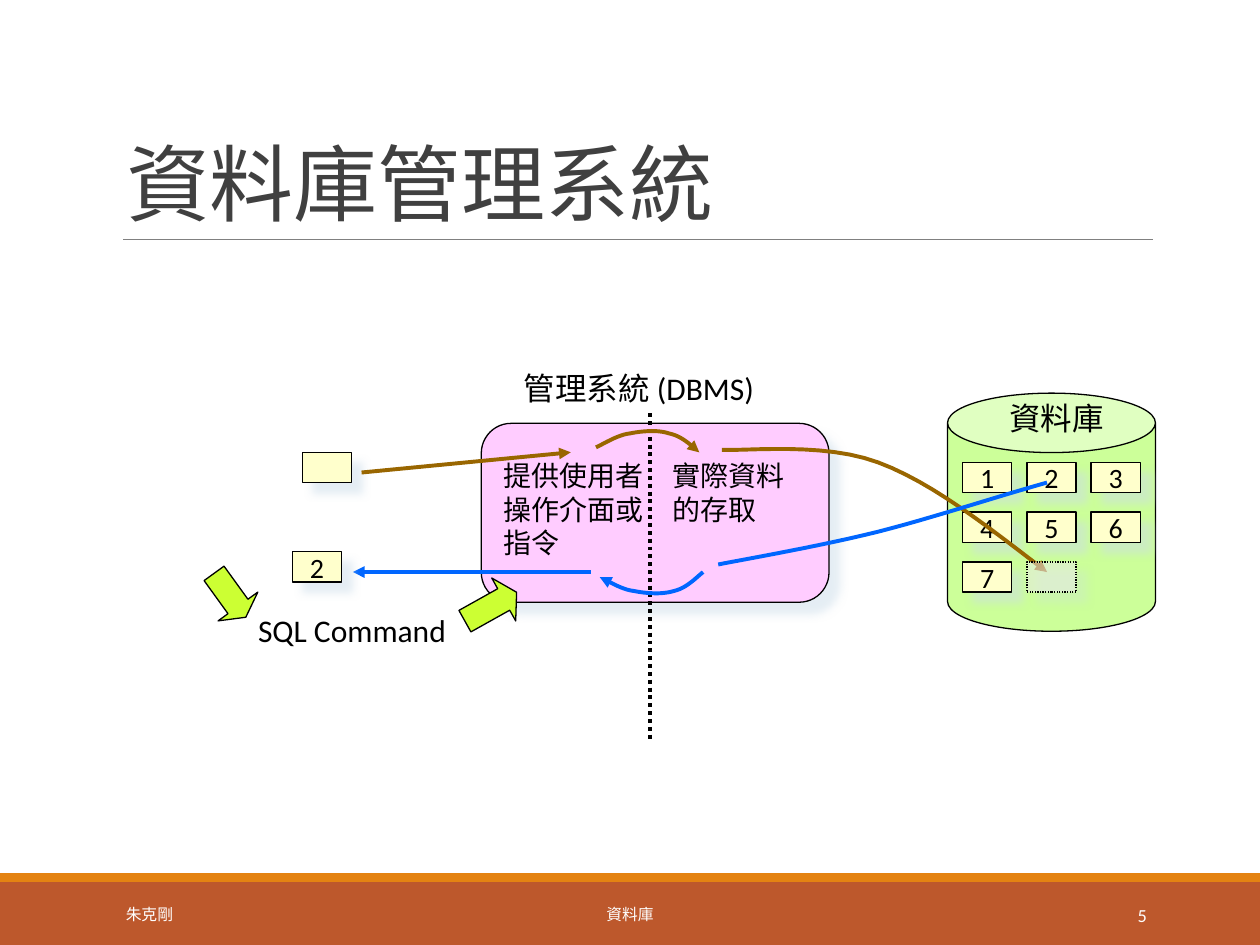
from dataclasses import dataclass

from lxml import etree
from pptx import Presentation
from pptx.dml.color import RGBColor
from pptx.enum.dml import MSO_LINE
from pptx.enum.shapes import MSO_CONNECTOR, MSO_SHAPE
from pptx.enum.text import MSO_ANCHOR, MSO_AUTO_SIZE, PP_ALIGN
from pptx.oxml.ns import qn
from pptx.util import Inches, Pt

RECT, ROUNDED = MSO_SHAPE.RECTANGLE, MSO_SHAPE.ROUNDED_RECTANGLE
CAN, RIGHT_ARROW = MSO_SHAPE.CAN, MSO_SHAPE.RIGHT_ARROW
STRAIGHT, DOTTED = MSO_CONNECTOR.STRAIGHT, MSO_LINE.ROUND_DOT
LEFT, CENTER, RIGHT = PP_ALIGN.LEFT, PP_ALIGN.CENTER, PP_ALIGN.RIGHT
MIDDLE, BOTTOM, TOP = MSO_ANCHOR.MIDDLE, MSO_ANCHOR.BOTTOM, MSO_ANCHOR.TOP
FIT_SHAPE, NO_FIT = MSO_AUTO_SIZE.SHAPE_TO_FIT_TEXT, MSO_AUTO_SIZE.NONE


@dataclass(frozen=True)
class Theme:
    font: str = "Calibri"
    ink: str = "000000"
    title: str = "404040"
    rule: str = "808080"
    white: str = "FFFFFF"
    footer: str = "BD582C"
    footer_edge: str = "E48312"
    database: str = "CCFF99"
    record: str = "FFFFCC"
    empty: str = "EAEAEA"
    dbms: str = "FFCCFF"
    command: str = "CCFF33"
    request: str = "996600"
    result: str = "0066FF"
    shadow: str = "CCDDEA"
    title_size: float = 48
    label_size: float = 18
    body_size: float = 16
    number_size: float = 10.5
    footer_size: float = 9
    outline: float = 0.75
    flow: float = 2.25


THEME = Theme()
RECORD_SIZE = (0.39, 0.24)


def rgb(color):
    return RGBColor.from_string(color)


def write(shape, text, size, color=THEME.ink, align=LEFT, anchor=TOP, wrap=True):
    frame = shape.text_frame
    frame.text = text
    frame.word_wrap = wrap
    frame.vertical_anchor = anchor
    paragraph = frame.paragraphs[0]
    paragraph.alignment = align
    paragraph.font.name = THEME.font
    paragraph.font.size = Pt(size)
    paragraph.font.color.rgb = rgb(color)
    return paragraph


def add_label(slide, box, text, size, **style):
    label = slide.shapes.add_textbox(*map(Inches, box))
    write(label, text, size, **style)
    return label


def add_block(slide, kind, box, fill, line=THEME.ink, shadow=False):
    block = slide.shapes.add_shape(kind, *map(Inches, box))
    block.fill.solid()
    block.fill.fore_color.rgb = rgb(fill)
    if line:
        block.line.color.rgb = rgb(line)
        block.line.width = Pt(THEME.outline)
    else:
        block.line.fill.background()
    block.shadow.inherit = False
    if shadow:
        effects = block.element.spPr.find(qn("a:effectLst"))
        outer = etree.SubElement(effects, qn("a:outerShdw"), blurRad=str(Pt(5)),
                                 dist=str(Pt(8.5)), dir="2700000", algn="tl",
                                 rotWithShape="0")
        tint = etree.SubElement(outer, qn("a:srgbClr"), val=THEME.shadow)
        etree.SubElement(tint, qn("a:alpha"), val="50000")
    return block


def style_line(line_shape, color, width, arrow=None):
    line_shape.line.color.rgb = rgb(color)
    line_shape.line.width = Pt(width)
    if arrow:
        outline = line_shape.element.spPr.find(qn("a:ln"))
        etree.SubElement(outline, qn(f"a:{arrow}"), type="triangle")


def add_line(slide, start, end, color, width, arrow=None):
    line = slide.shapes.add_connector(STRAIGHT, *map(Inches, (*start, *end)))
    style_line(line, color, width, arrow)
    etree.SubElement(line.element.spPr, qn("a:effectLst"))
    return line


def bezier(controls, steps=12):
    points = [controls[0]]
    for i in range(0, len(controls) - 1, 3):
        for step in range(1, steps + 1):
            t = step / steps
            weights = ((1 - t) ** 3, 3 * t * (1 - t) ** 2, 3 * t * t * (1 - t), t ** 3)
            points.append(tuple(sum(w * p[axis] for w, p in zip(weights, controls[i:i + 4]))
                                for axis in (0, 1)))
    return points


def add_curve(slide, origin, controls, color, arrow=None):
    left, top = origin
    points = [(Inches(left + x), Inches(top + y)) for x, y in bezier(controls)]
    builder = slide.shapes.build_freeform(*points[0])
    builder.add_line_segments(points[1:], close=False)
    curve = builder.convert_to_shape()
    curve.fill.background()
    curve.shadow.inherit = False
    style_line(curve, color, THEME.flow, arrow)


def add_record(slide, place, text="", fill=THEME.record):
    record = add_block(slide, RECT, (*place, *RECORD_SIZE), fill, shadow=True)
    if text:
        write(record, text, THEME.body_size, align=CENTER, anchor=MIDDLE, wrap=False)
    return record


def draw_title(slide, box, text):
    left, top, width, height = box
    title = slide.shapes.title
    title.left, title.top, title.width, title.height = map(Inches, box)
    paragraph = write(title, text, THEME.title_size, THEME.title, anchor=BOTTOM)
    title.text_frame.auto_size = NO_FIT
    paragraph.line_spacing = 0.85
    paragraph.runs[0].font.element.set("spc", "-50") if hasattr(
        paragraph.runs[0].font, "element") else None
    rule = top + height
    add_line(slide, (left + 0.08, rule), (left + width, rule), THEME.rule, 0.5)


def draw_footer(slide, box, author, subject, number):
    left, top, width, height = box
    add_block(slide, RECT, box, THEME.footer, line=None)
    add_block(slide, RECT, (left, top - 0.07, width, 0.07), THEME.footer_edge, line=None)
    for x, w, text, size, align in (
        (0.9, 2.03, author, THEME.footer_size, LEFT),
        (3.02, 3.96, subject, THEME.footer_size, CENTER),
        (8.12, 1.08, number, THEME.number_size, RIGHT),
    ):
        add_label(slide, (left + x, top + 0.06, w, 0.4), text, size,
                  color=THEME.white, align=align, anchor=MIDDLE)


def slot_place(box, index):
    row, column = divmod(index, 3)
    return box[0] + 0.12 + 0.51 * column, box[1] + 0.55 + 0.395 * row


def draw_database(slide, box):
    left, top = box[:2]
    add_block(slide, CAN, box, THEME.database).adjustments[0] = 0.286
    name = add_label(slide, (left + 0.39, top, 0.95, 0.4), "資料庫",
                     THEME.label_size, wrap=False)
    name.text_frame.auto_size = FIT_SHAPE
    for index in range(7):
        add_record(slide, slot_place(box, index), str(index + 1))


def draw_empty_slot(slide, place):
    slot = add_record(slide, place, fill=THEME.empty)
    slot.line.dash_style = DOTTED
    tint = slot.element.spPr.find(qn("a:solidFill"))[0]
    etree.SubElement(tint, qn("a:alpha"), val="53000")


def draw_dbms(slide, box):
    left, top = box[:2]
    add_block(slide, ROUNDED, box, THEME.dbms, shadow=True).adjustments[0] = 0.167
    divider = left + 1.34
    add_line(slide, (divider, top - 0.08), (divider, top + 2.52),
             THEME.ink, THEME.flow).line.dash_style = DOTTED
    for x, y, w, h, text, size, wrap in (
        (0.24, -0.48, 2.26, 0.4, "管理系統 (DBMS)", THEME.label_size, False),
        (0.08, 0.23, 1.5, 0.9, "提供使用者操作介面或指令", THEME.body_size, True),
        (1.42, 0.23, 1.2, 0.64, "實際資料的存取", THEME.body_size, True),
    ):
        label = add_label(slide, (left + x, top + y, w, h), text, size, wrap=wrap)
        label.text_frame.auto_size = FIT_SHAPE


def draw_request(slide, origin):
    left, top = origin
    add_record(slide, (left, top + 0.19))
    add_line(slide, (left + 0.47, top + 0.35), (left + 2.13, top + 0.19),
             THEME.request, THEME.flow, "tailEnd")
    across = [(2.33, 0.15), (2.38, 0.13), (2.5, 0.05), (2.6, 0.04), (2.7, 0.02),
              (2.82, 0.01), (2.91, 0.04), (3.01, 0.06), (3.08, 0.13), (3.15, 0.19)]
    store = [(3.33, 0.17), (3.54, 0.18), (4.14, 0.11), (4.57, 0.27),
             (5, 0.43), (5.44, 0.78), (5.91, 1.14)]
    for controls in (across, store):
        add_curve(slide, origin, controls, THEME.request, "tailEnd")


def draw_result(slide, origin):
    left, top = origin
    fetch = [(6.01, 0.03), (5.55, 0.16), (5.1, 0.31), (4.67, 0.42),
             (4.23, 0.53), (3.66, 0.63), (3.4, 0.68)]
    across = [(2.46, 0.78), (2.51, 0.8), (2.63, 0.88), (2.73, 0.89), (2.83, 0.91),
              (2.95, 0.92), (3.05, 0.89), (3.14, 0.87), (3.21, 0.8), (3.28, 0.74)]
    add_curve(slide, origin, fetch, THEME.result)
    add_curve(slide, origin, across, THEME.result, "headEnd")
    add_line(slide, (left + 2.39, top + 0.74), (left + 0.5, top + 0.74),
             THEME.result, THEME.flow, "tailEnd")
    add_record(slide, (left + 0.02, top + 0.58), "2")


def draw_command(slide, origin):
    left, top = origin
    label = add_label(slide, (left + 0.34, top + 0.27, 2.07, 0.4), "SQL Command",
                      THEME.label_size, wrap=False)
    label.text_frame.auto_size = FIT_SHAPE
    for x, y, w, angle, head in ((2.05, 0.09, 0.47, 330.8, 0.3), (0, 0, 0.43, 54.1, 0.271)):
        arrow = add_block(slide, RIGHT_ARROW, (left + x, top + y, w, 0.39), THEME.command)
        arrow.adjustments[1] = head
        arrow.rotation = angle


def main():
    deck = Presentation()
    deck.slide_width, deck.slide_height = Inches(10), Inches(7.5)
    slide = deck.slides.add_slide(deck.slide_layouts[5])
    database = (7.52, 3.12, 1.65, 1.89)
    draw_footer(slide, (0, 7, 10, 0.5), "朱克剛", "資料庫", "5")
    draw_title(slide, (0.9, 0.31, 8.25, 1.59), "資料庫管理系統")
    draw_database(slide, database)
    draw_dbms(slide, (3.82, 3.36, 2.76, 1.42))
    draw_request(slide, (2.4, 3.4))
    draw_empty_slot(slide, slot_place(database, 7))
    draw_result(slide, (2.3, 3.8))
    draw_command(slide, (1.61, 4.53))
    deck.save("out.pptx")


if __name__ == "__main__":
    main()
